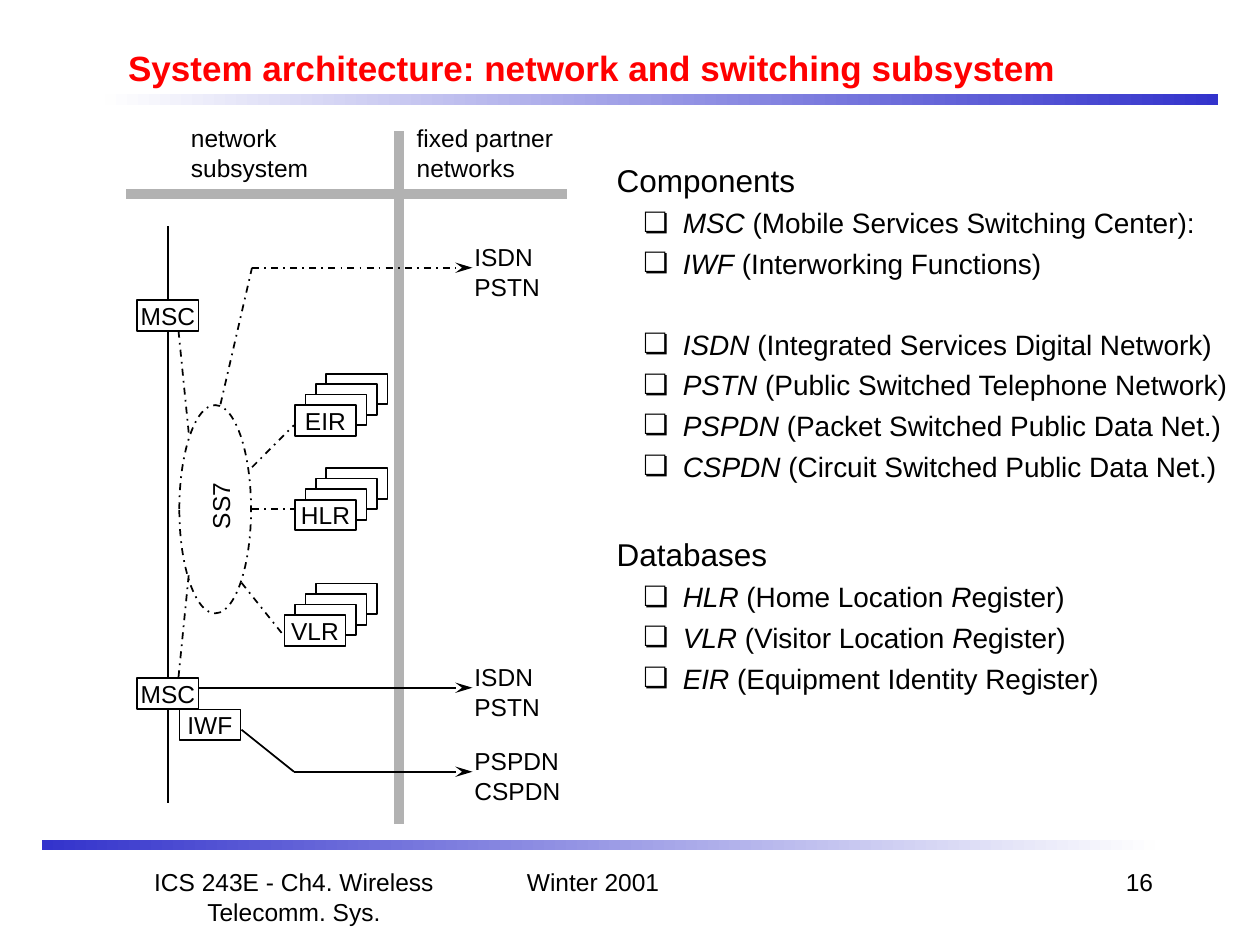
import pptx
import pptx.dml.color
import pptx.enum.dml
import pptx.enum.shapes
import pptx.enum.text
import pptx.oxml.ns
import pptx.util
from lxml import etree

Pt = pptx.util.Pt
qn = pptx.oxml.ns.qn
SHAPES = pptx.enum.shapes.MSO_SHAPE
ALIGN = pptx.enum.text.PP_ALIGN
ANCHOR = pptx.enum.text.MSO_ANCHOR
DASH_DOT = pptx.enum.dml.MSO_LINE.DASH_DOT
TOP, BOTTOM = 0, 2

COLORS = {"text": "000000", "title": "FF0000", "divider": "B2B2B2",
          "bar": "3333CC", "fade": "FEFEFE", "box": "FFFFFF"}
BOX_WIDTH, BOX_HEIGHT = 35, 17.5


def rgb(name):
    return pptx.dml.color.RGBColor.from_string(COLORS[name])


class Builder:
    font = "Arial"
    label_size = 14

    def __init__(self, slide):
        self.slide = slide

    def format_run(self, run, size, color="text", bold=False, italic=False):
        run.font.name = self.font
        run.font.size = Pt(size)
        run.font.color.rgb = rgb(color)
        run.font.bold = bold
        run.font.italic = italic

    def set_text(self, shape, text, align):
        paragraph = shape.text_frame.paragraphs[0]
        paragraph.text = text
        paragraph.alignment = align
        for run in paragraph.runs:
            self.format_run(run, self.label_size)
        # Line breaks need the label size too
        for line_break in paragraph._p.findall(qn("a:br")):
            etree.SubElement(line_break, qn("a:rPr"), sz=str(self.label_size * 100))

    def place(self, shape, left, top, width, height):
        shape.left, shape.top = Pt(left), Pt(top)
        shape.width, shape.height = Pt(width), Pt(height)

    def title(self, text, *position):
        shape = self.slide.shapes.title
        self.place(shape, *position)
        frame = shape.text_frame
        frame.text = text
        frame.vertical_anchor = ANCHOR.BOTTOM
        frame.auto_size = pptx.enum.text.MSO_AUTO_SIZE.NONE
        frame.paragraphs[0].alignment = ALIGN.LEFT
        self.format_run(frame.paragraphs[0].runs[0], 20, "title", bold=True)

    def body(self, sections, *position):
        shape = self.slide.placeholders[1]
        self.place(shape, *position)
        frame = shape.text_frame
        frame.auto_size = pptx.enum.text.MSO_AUTO_SIZE.NONE
        for number, (heading, items) in enumerate(sections):
            paragraph = frame.add_paragraph() if number else frame.paragraphs[0]
            paragraph.space_before = Pt(30 if number else 0)
            self.indent(paragraph, 7.2, 0)
            self.add_runs(paragraph, [heading], 18)
            for gap, parts in items:
                paragraph = frame.add_paragraph()
                paragraph.level = 1
                paragraph.space_before = Pt(gap)
                self.indent(paragraph, 45, -22.5, "❏")
                self.add_runs(paragraph, parts, 16)

    def indent(self, paragraph, margin, first_line, bullet=None):
        properties = paragraph._p.get_or_add_pPr()
        properties.set("marL", str(Pt(margin)))
        properties.set("indent", str(Pt(first_line)))
        if bullet:
            etree.SubElement(properties, qn("a:buFont"), typeface=self.font)
            etree.SubElement(properties, qn("a:buChar"), char=bullet)
        else:
            etree.SubElement(properties, qn("a:buNone"))

    def add_runs(self, paragraph, parts, size):
        """Alternate italic and upright parts; a single part is upright."""
        for number, part in enumerate(parts):
            run = paragraph.add_run()
            run.text = part
            self.format_run(run, size, italic=len(parts) > 1 and number % 2 == 0)

    def label(self, text, left, top, width, height, align=ALIGN.LEFT, rotation=0):
        shape = self.slide.shapes.add_textbox(Pt(left), Pt(top), Pt(width), Pt(height))
        shape.text_frame.word_wrap = True
        shape.rotation = rotation
        self.set_text(shape, text, align)

    def shape(self, kind, left, top, width, height, fill=None, dash=None):
        shape = self.slide.shapes.add_shape(kind, Pt(left), Pt(top), Pt(width), Pt(height))
        shape.shadow.inherit = False
        if fill:
            shape.fill.solid()
            shape.fill.fore_color.rgb = rgb(fill)
        else:
            shape.fill.background()
        shape.line.color.rgb = rgb("text")
        shape.line.width = Pt(1)
        if dash:
            shape.line.dash_style = dash
        return shape

    def box(self, text, left, top, fill=None):
        shape = self.shape(SHAPES.RECTANGLE, left, top, BOX_WIDTH, BOX_HEIGHT, fill)
        if text:
            shape.text_frame.word_wrap = False
            shape.text_frame.vertical_anchor = ANCHOR.MIDDLE
            self.set_text(shape, text, ALIGN.CENTER)
        return shape

    def stack(self, text, left, top):
        for offset in (18, 12, 6, 0):
            self.box("" if offset else text, left + offset, top - offset, "box")

    def bar(self, left, top, start, end):
        shape = self.shape(SHAPES.RECTANGLE, left, top, 636, 6)
        shape.line.fill.background()
        shape.fill.gradient()
        shape.fill.gradient_angle = 0
        for stop, color in zip(shape.fill.gradient_stops, (start, end)):
            stop.color.rgb = rgb(color)

    def line(self, start, end, color="text", width=1, dash=None, arrow=False):
        connector = self.slide.shapes.add_connector(
            pptx.enum.shapes.MSO_CONNECTOR.STRAIGHT, *map(Pt, start + end))
        connector.line.color.rgb = rgb(color)
        connector.line.width = Pt(width)
        if dash:
            connector.line.dash_style = dash
        if arrow:
            etree.SubElement(connector.line._get_or_add_ln(), qn("a:tailEnd"),
                             type="stealth", w="med", len="lg")
        etree.SubElement(connector._element.spPr, qn("a:effectLst"))
        return connector


presentation = pptx.Presentation()
presentation.slide_width, presentation.slide_height = Pt(720), Pt(540)
builder = Builder(presentation.slides.add_slide(presentation.slide_layouts[1]))

# Title, rules and component list
builder.bar(60, 54, "fade", "bar")
builder.bar(24, 480, "bar", "fade")
builder.title("System architecture: network and switching subsystem", 66, 18, 612, 36)
builder.body([
    ("Components", [
        (4, ["MSC", " (Mobile Services Switching Center):"]),
        (4, ["IWF", " (Interworking Functions)"]),
        (27, ["ISDN", " (Integrated Services Digital Network)"]),
        (4, ["PSTN", " (Public Switched Telephone Network)"]),
        (4, ["PSPDN", " (Packet Switched Public Data Net.)"]),
        (4, ["CSPDN", " (Circuit Switched Public Data Net.)"])]),
    ("Databases", [
        (4, ["HLR", " (Home Location ", "R", "egister)"]),
        (4, ["VLR", " (Visitor Location ", "R", "egister)"]),
        (4, ["EIR", " (Equipment Identity Register)"])]),
], 338, 88.5, 376, 418)

# Dividers and column headings
builder.line((228, 75), (228, 471), "divider", 6)
builder.line((72, 111), (324, 111), "divider", 6)
builder.label("network\nsubsystem", 102, 67, 104, 41)
builder.label("fixed partner\nnetworks", 231, 67, 98, 41)

# Switching centers on the vertical trunk
upper_msc = builder.box("MSC", 78.5, 171.5)
lower_msc = builder.box("MSC", 78.5, 387.5)
builder.box("IWF", 102.5, 405.5)
builder.line((96, 171.5), (96, 129)).begin_connect(upper_msc, TOP)
trunk = builder.line((96, 189), (96, 387.5))
trunk.begin_connect(upper_msc, BOTTOM)
trunk.end_connect(lower_msc, TOP)
builder.line((96, 405), (96, 459)).begin_connect(lower_msc, BOTTOM)

# Signalling network and databases
builder.shape(SHAPES.OVAL, 102.5, 231.5, 41, 119, dash=DASH_DOT)
builder.label("SS7", 97, 268.5, 58, 24, rotation=270)
for name, left, top in (("EIR", 168.5, 231.5), ("HLR", 168.5, 285.5), ("VLR", 162.5, 351.5)):
    builder.stack(name, left, top)
for start, end in (((102, 189), (108, 249)), ((102, 387), (108, 327)),
                   ((144, 267), (168, 243)), ((144, 291), (168, 291)),
                   ((138, 333), (162, 363)), ((126, 231), (144, 153))):
    builder.line(start, end, dash=DASH_DOT)

# Links to the partner networks
builder.line((138, 417), (168, 441))
for text, left, y, width, dash in (("ISDN\nPSTN", 144, 153, 53, DASH_DOT),
                                   ("ISDN\nPSTN", 114, 393, 59, None),
                                   ("PSPDN\nCSPDN", 168, 441, 65, None)):
    builder.line((left, y), (270, y), dash=dash, arrow=True)
    builder.label(text, 264, y - 18, width, 41)

# Footer
builder.label("ICS 243E - Ch4. Wireless Telecomm. Sys.", 54, 492, 228, 36, ALIGN.CENTER)
builder.label("Winter 2001", 294, 492, 150, 36)
builder.label("16", 516, 492, 150, 36, ALIGN.RIGHT)

presentation.save("out.pptx")
